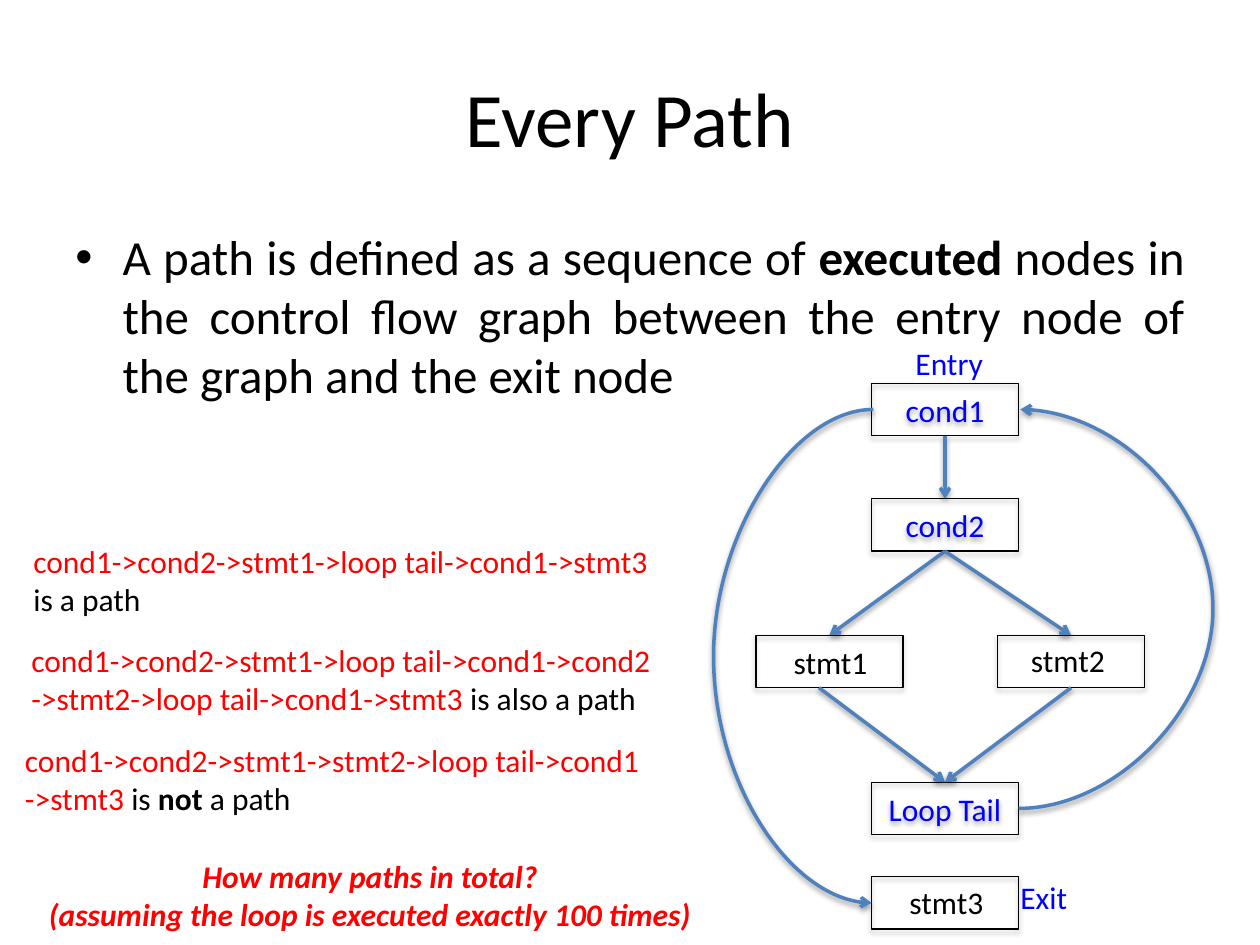
from dataclasses import dataclass, field
from typing import Any, NamedTuple, Optional

from pptx import Presentation
from pptx.dml.color import RGBColor
from pptx.enum.shapes import MSO_CONNECTOR as Link, MSO_SHAPE as Preset
from pptx.enum.text import MSO_ANCHOR as Anchor, MSO_AUTO_SIZE as AutoSize, PP_ALIGN as Align
from pptx.oxml import parse_xml
from pptx.oxml.ns import nsdecls, qn
from pptx.util import Pt

BLACK = RGBColor(0x00, 0x00, 0x00)
RED = RGBColor(0xFF, 0x00, 0x00)
BLUE = RGBColor(0x00, 0x00, 0xFF)
STEEL = RGBColor(0x4F, 0x81, 0xBD)
FONT = "Calibri"

# Flow graph grid, in points
NODE_W, NODE_H = 84, 30
LEFT, MIDDLE, RIGHT = 474, 540, 612
ROW_COND1, ROW_COND2, ROW_STMT, ROW_TAIL, ROW_EXIT = 219, 285, 363, 447, 501


class Span(NamedTuple):
    text: str
    color: RGBColor = BLACK
    style: dict[str, Any] = {}


class Node(NamedTuple):
    center: float
    top: float
    text: str = ""


class Arrow(NamedTuple):
    x1: float
    y1: float
    x2: float
    y2: float
    bend: Optional[float] = None  # outermost x of a curved arrow


@dataclass
class TextBlock:
    left: float
    top: float
    width: float
    height: float
    lines: list[list[Span]]
    size: float = 18
    align: Align = Align.LEFT
    frame: dict[str, Any] = field(
        default_factory=lambda: {"word_wrap": False, "auto_size": AutoSize.SHAPE_TO_FIT_TEXT})
    bullet: bool = False


def set_all(target: Any, values: dict[str, Any]) -> None:
    for name, value in values.items():
        setattr(target, name, value)


def write_spans(para: Any, spans: list[Span], size: float) -> None:
    for item in spans:
        span = para.add_run()
        span.text = item.text
        set_all(span.font, {"name": FONT, "size": Pt(size), **item.style})
        span.font.color.rgb = item.color


def add_shadow(shape: Any, distance: float, opacity: int) -> None:
    properties = shape._element.spPr
    effects = properties.find(qn("a:effectLst"))
    if effects is None:
        effects = parse_xml(f"<a:effectLst {nsdecls('a')}/>")
        properties.append(effects)
    effects.append(parse_xml(
        f'<a:outerShdw {nsdecls("a")} blurRad="{Pt(3.1)}" dist="{Pt(distance)}" '
        f'dir="5400000" rotWithShape="0"><a:srgbClr val="{BLACK}">'
        f'<a:alpha val="{opacity * 1000}"/></a:srgbClr></a:outerShdw>'))


def draw_text(page: Any, block: TextBlock) -> None:
    box = page.shapes.add_textbox(
        Pt(block.left), Pt(block.top), Pt(block.width), Pt(block.height))
    frame = box.text_frame
    set_all(frame, block.frame)
    for index, spans in enumerate(block.lines):
        para = frame.add_paragraph() if index else frame.paragraphs[0]
        para.alignment = block.align
        if block.bullet:
            layout = para._p.get_or_add_pPr()
            layout.set("marL", str(Pt(27)))
            layout.set("indent", str(Pt(-27)))
            layout.append(parse_xml(f'<a:buFont {nsdecls("a")} typeface="Arial"/>'))
            layout.append(parse_xml(f'<a:buChar {nsdecls("a")} char="•"/>'))
        write_spans(para, spans, block.size)


def draw_node(page: Any, node: Node) -> None:
    box = page.shapes.add_shape(
        Preset.RECTANGLE, Pt(node.center - NODE_W / 2), Pt(node.top), Pt(NODE_W), Pt(NODE_H))
    box.shadow.inherit = False
    box.fill.background()
    box.line.color.rgb = BLACK
    box.line.width = Pt(0.75)
    add_shadow(box, 1.8, 35)
    if node.text:
        box.text_frame.vertical_anchor = Anchor.MIDDLE
        para = box.text_frame.paragraphs[0]
        para.alignment = Align.CENTER
        write_spans(para, [Span(node.text, BLUE)], 18)


def draw_arrow(page: Any, arrow: Arrow) -> None:
    curved = arrow.bend is not None
    line = page.shapes.add_connector(
        Link.CURVE if curved else Link.STRAIGHT,
        Pt(arrow.x1), Pt(arrow.y1), Pt(arrow.x2), Pt(arrow.y2))
    line.line.color.rgb = STEEL
    line.line.width = Pt(2)
    line.line._get_or_add_ln().append(parse_xml(f'<a:tailEnd {nsdecls("a")} type="arrow"/>'))
    add_shadow(line, 1.6, 38)
    if curved:
        properties = line._element.spPr
        ratio = (arrow.bend - arrow.x1) / (arrow.x2 - arrow.x1)
        guides = properties.find(qn("a:prstGeom")).get_or_add_avLst()
        guides.append(parse_xml(
            f'<a:gd {nsdecls("a")} name="adj1" fmla="val {round(ratio * 100000)}"/>'))
        if arrow.x2 < arrow.x1:  # half turn plus vertical flip mirrors the curve
            frame = properties.find(qn("a:xfrm"))
            frame.attrib.pop("flipH", None)
            frame.set("rot", "10800000")
            frame.set("flipV", "1")


BOLD = {"bold": True}
QUESTION = {"bold": True, "italic": True}

TEXTS = [
    # Title and definition
    TextBlock(36, 21.6, 648, 90, [[Span("Every Path")]], 44, Align.CENTER,
              {"word_wrap": True, "vertical_anchor": Anchor.MIDDLE}),
    TextBlock(36, 126, 648, 356.4, [[
        Span("A path is defined as a sequence of "), Span("executed", BLACK, BOLD),
        Span(" nodes in the control flow graph between the entry node of the graph"
             " and the exit node")]], 28, Align.JUSTIFY, {"word_wrap": True}, True),
    # Example paths
    TextBlock(12, 306, 371, 51, [
        [Span("cond1->cond2->stmt1->loop tail->cond1->stmt3", RED)],
        [Span("is a path")]]),
    TextBlock(10.8, 363, 373, 51, [
        [Span("cond1->cond2->stmt1->loop tail->cond1->cond2", RED)],
        [Span("->stmt2->loop tail->cond1->stmt3 ", RED), Span("is also a path")]]),
    TextBlock(7.2, 420, 371, 51, [
        [Span("cond1->cond2->stmt1->stmt2->loop tail->cond1", RED)],
        [Span("->stmt3 ", RED), Span("is "), Span("not", BLACK, BOLD), Span(" a path")]]),
    TextBlock(18, 486, 391, 51, [
        [Span("How many paths in total? ", RED, QUESTION)],
        [Span("(assuming the loop is executed exactly 100 times) ", RED, QUESTION)]],
        align=Align.CENTER),
    # Graph labels
    TextBlock(446.4, 363.6, 57.6, 29, [[Span("stmt1")]]),
    TextBlock(582, 363, 57.6, 29, [[Span("stmt2")]]),
    TextBlock(512.6, 501, 57.6, 29, [[Span("stmt3")]]),
    TextBlock(516, 193, 54, 29, [[Span("Entry", BLUE)]]),
    TextBlock(576, 498, 42, 29, [[Span("Exit", BLUE)]]),
]

NODES = [
    Node(MIDDLE, ROW_COND1, "cond1"),
    Node(MIDDLE, ROW_COND2, "cond2"),
    Node(LEFT, ROW_STMT),
    Node(RIGHT, ROW_STMT),
    Node(MIDDLE, ROW_TAIL, "Loop Tail"),
    Node(MIDDLE, ROW_EXIT),
]

ARROWS = [
    Arrow(MIDDLE, ROW_COND1 + NODE_H, MIDDLE, ROW_COND2),
    Arrow(MIDDLE, ROW_COND2 + NODE_H, LEFT, ROW_STMT),
    Arrow(MIDDLE, ROW_COND2 + NODE_H, RIGHT, ROW_STMT),
    Arrow(LEFT - 6, ROW_STMT + NODE_H, MIDDLE, ROW_TAIL),
    Arrow(RIGHT, ROW_STMT + NODE_H, MIDDLE, ROW_TAIL),
    Arrow(582, ROW_TAIL + NODE_H / 2, 583, ROW_COND1 + NODE_H / 2, 694),
    Arrow(499, ROW_COND1 + NODE_H / 2, 498, ROW_EXIT + NODE_H / 2, 407),
]


def main() -> None:
    deck = Presentation()
    set_all(deck, {"slide_width": Pt(720), "slide_height": Pt(540)})
    page = deck.slides.add_slide(deck.slide_layouts[6])
    for node in NODES:
        draw_node(page, node)
    for arrow in ARROWS:
        draw_arrow(page, arrow)
    for block in TEXTS:
        draw_text(page, block)
    deck.save("out.pptx")


if __name__ == "__main__":
    main()
